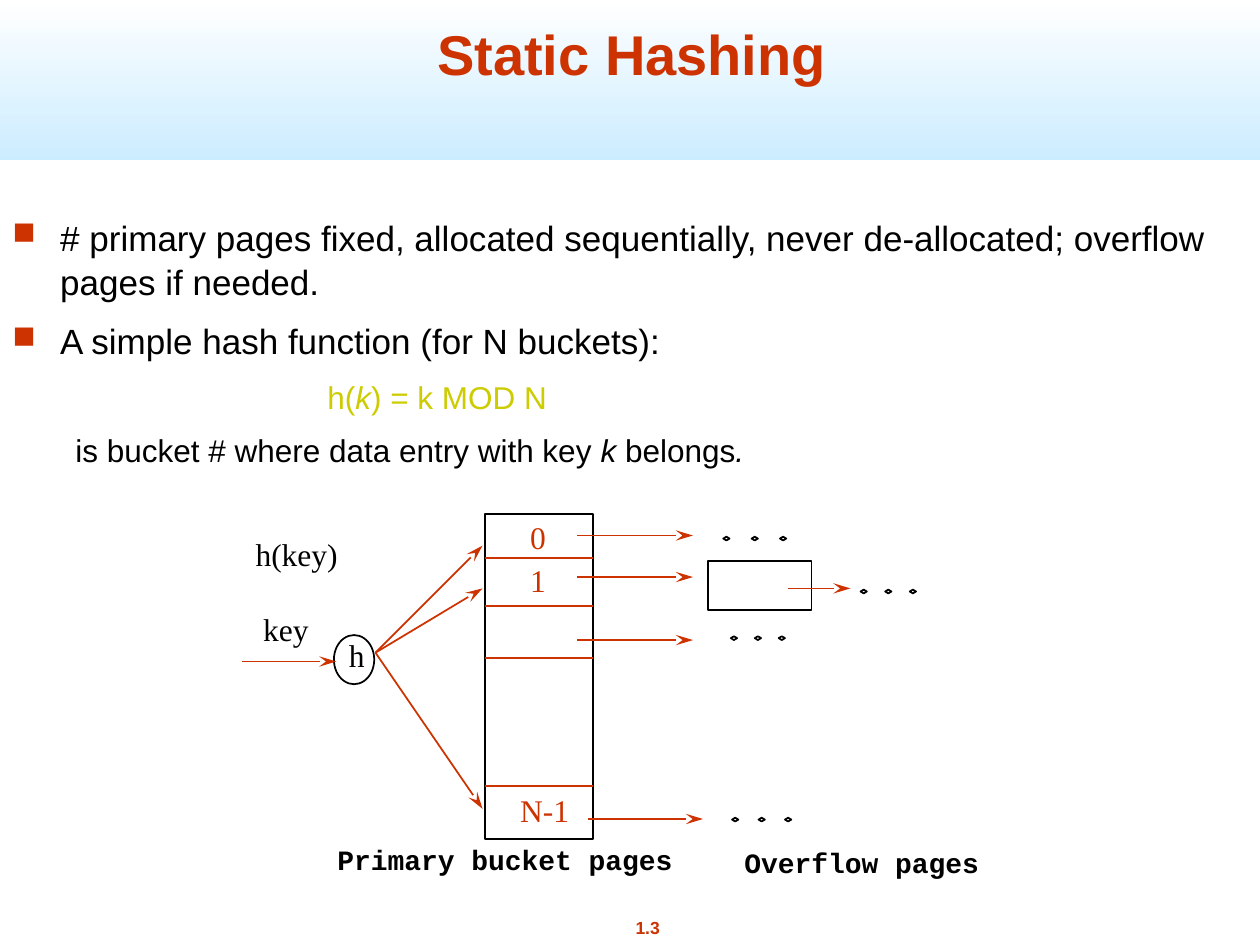
from lxml import etree
from pptx import Presentation
from pptx import util as u
from pptx.dml.color import RGBColor
from pptx.enum import shapes, text
from pptx.oxml.ns import qn

RED, BLACK, YELLOW = "CC3300", "000000", "CCCC00"


def rgb(value):
    return RGBColor.from_string(value)


def style(target, color, **values):
    target.color.rgb = rgb(color)
    for name, value in values.items():
        setattr(target, name, value)


prs = Presentation()
prs.slide_width, prs.slide_height = u.Inches(10), u.Inches(7.5)
s = prs.slides.add_slide(prs.slide_layouts[5])

band = s.shapes.add_shape(shapes.MSO_SHAPE.RECTANGLE, 0, 0, u.Inches(10), u.Inches(1.27))
band.shadow.inherit = False
band.line.fill.background()
band.fill.gradient()
band.fill.gradient_angle = 270
for stop, color, position in zip(band.fill.gradient_stops, ("FFFFFF", "CCECFF"), (0, 1)):
    stop.color.rgb = rgb(color)
    stop.position = position
s.shapes._spTree.insert(2, band._element)

title = s.shapes.title
title.left, title.top, title.width, title.height = map(u.Inches, (0.6, 0.07, 8.83, 0.67))
tf = title.text_frame
tf.text = "Static Hashing"
tf.vertical_anchor = text.MSO_ANCHOR.BOTTOM
p = tf.paragraphs[0]
p.alignment = text.PP_ALIGN.CENTER
style(p.runs[0].font, RED, size=u.Pt(32), bold=True, name="Arial")

body = [
    (True, 0.38, 20, 0, BLACK, [("# primary pages fixed, allocated sequentially, never de-allocated; overflow pages if needed.", False)]),
    (True, 0.38, 20, 8.8, BLACK, [("A simple hash function (for N buckets):", False)]),
    (False, 2.5, 18, 7.9, YELLOW, [("h(", False), ("k", True), (") = k MOD N", False)]),
    (False, 0.5, 18, 7.9, BLACK, [("is bucket # where data entry with key", False), (" k ", True), ("belongs", False), (".", True)]),
]
tf = s.shapes.add_textbox(0, u.Inches(1.65), u.Inches(10), u.Inches(2.92)).text_frame
tf.word_wrap = True
for i, (bullet, indent, size, before, color, runs) in enumerate(body):
    p = tf.add_paragraph() if i else tf.paragraphs[0]
    pPr = p._p.get_or_add_pPr()
    pPr.set("marL", str(u.Inches(indent)))
    pPr.set("indent", str(-u.Inches(indent) if bullet else 0))
    if bullet:
        buClr = etree.SubElement(pPr, qn("a:buClr"))
        etree.SubElement(buClr, qn("a:srgbClr"), val=RED)
        etree.SubElement(pPr, qn("a:buSzPct"), val="90000")
        etree.SubElement(pPr, qn("a:buChar"), char="■")
    p.line_spacing = 1.05
    p.space_before = u.Pt(before)
    for words, italic in runs:
        r = p.add_run()
        r.text = words
        style(r.font, color, size=u.Pt(size), italic=italic, name="Arial")

RECT, OVAL, DIAMOND = shapes.MSO_SHAPE.RECTANGLE, shapes.MSO_SHAPE.OVAL, shapes.MSO_SHAPE.DIAMOND
outlines = [
    (RECT, 5.62, 4.45, 0.82, 0.39),
    (OVAL, 2.65, 5.04, 0.32, 0.39),
    (RECT, 3.85, 4.08, 0.86, 2.58),
]
for left, step, top in [(5.74, 0.225, 4.26), (6.83, 0.195, 4.68), (5.8, 0.19, 5.05), (5.81, 0.21, 6.49)]:
    outlines += [(DIAMOND, left + n * step, top, 0.05, 0.03) for n in range(3)]
for kind, *box in outlines:
    sp = s.shapes.add_shape(kind, *map(u.Inches, box))
    sp.shadow.inherit = False
    sp.fill.background()
    style(sp.line, BLACK, width=u.Pt(1))

serif = {"size": u.Pt(18), "name": "Times New Roman"}
mono = {"size": u.Pt(16), "name": "Courier New", "bold": True}
number = {"size": u.Pt(10), "name": "Arial", "bold": True}
labels = [
    ("h(key)", 1.93, 4.2, 0.85, 0.4, BLACK, serif),
    ("h", 2.67, 5, 0.33, 0.4, BLACK, serif),
    ("key", 1.99, 4.79, 0.56, 0.4, BLACK, serif),
    ("0", 4.11, 4.06, 0.33, 0.4, RED, serif),
    ("1", 4.11, 4.4, 0.33, 0.4, RED, serif),
    ("N-1", 4.03, 6.23, 0.59, 0.4, RED, serif),
    ("Primary bucket pages", 2.58, 6.64, 2.86, 0.37, BLACK, mono),
    ("Overflow pages", 5.81, 6.66, 2.06, 0.37, BLACK, mono),
    ("1.3", 4.65, 7.23, 0.98, 0.27, RED, number),
]
for words, left, top, width, height, color, values in labels:
    tf = s.shapes.add_textbox(*map(u.Inches, (left, top, width, height))).text_frame
    tf.word_wrap = False
    p = tf.paragraphs[0]
    p.alignment = text.PP_ALIGN.CENTER if values is number else text.PP_ALIGN.LEFT
    r = p.add_run()
    r.text = words
    style(r.font, color, **values)

lines = [(2.98, 5.18, 3.83, y, True) for y in (4.33, 4.67, 6.42)]
lines += [(4.58, y, 5.5, y, True) for y in (4.25, 4.58, 5.08)]
lines += [(1.92, 5.25, 2.67, 5.25, True), (4.67, 6.5, 5.58, 6.5, True), (6.25, 4.67, 6.75, 4.67, True)]
lines += [(3.85, y, 4.71, y, False) for y in (4.43, 4.81, 5.22, 6.24)]
for *ends, arrow in lines:
    line = s.shapes.add_connector(shapes.MSO_CONNECTOR.STRAIGHT, *map(u.Inches, ends))
    style(line.line, RED, width=u.Pt(1))
    if arrow:
        etree.SubElement(line.line._get_or_add_ln(), qn("a:tailEnd"), type="stealth", w="med", len="lg")
    etree.SubElement(line._element.spPr, qn("a:effectLst"))

prs.save("out.pptx")
